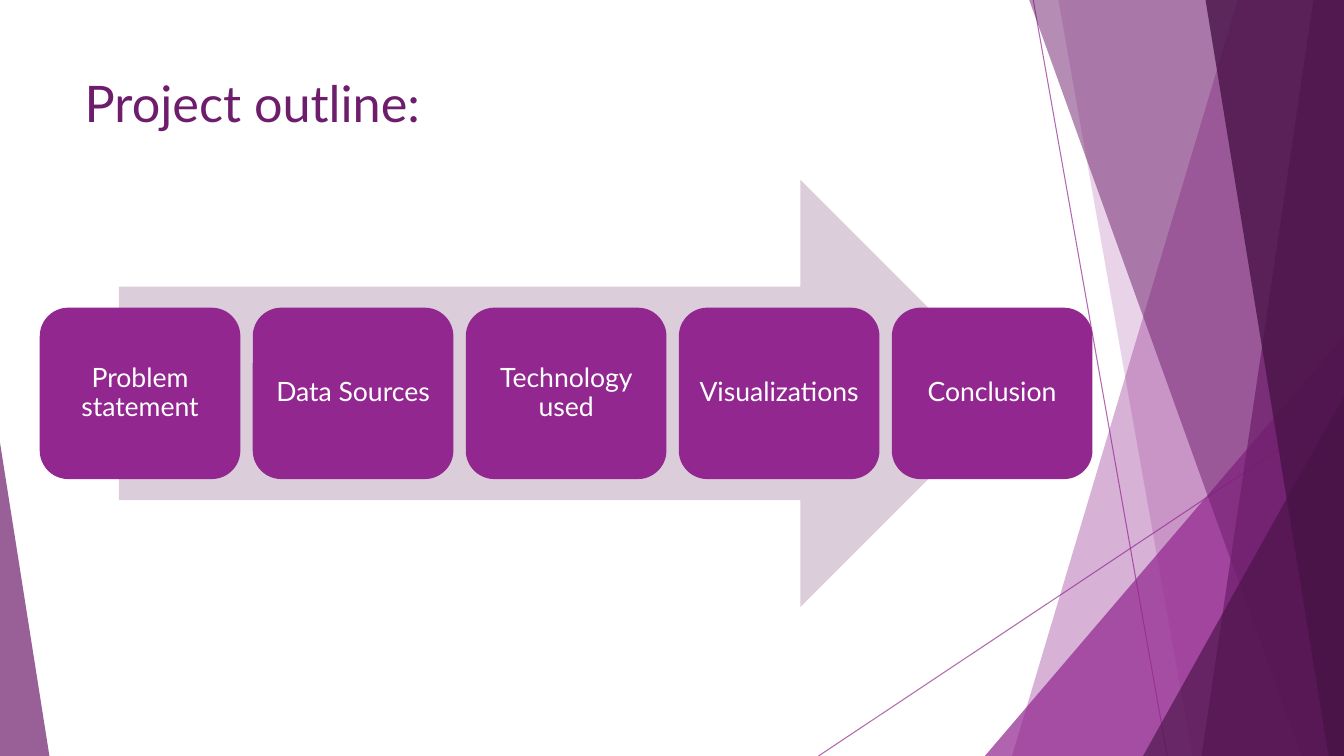
from dataclasses import dataclass

from lxml import etree
from pptx import Presentation
from pptx import util as u
from pptx.dml.color import RGBColor
from pptx.enum import shapes, text
from pptx.oxml.ns import qn

WHITE = RGBColor(0xFF, 0xFF, 0xFF)
VIOLET = RGBColor(0x92, 0x27, 0x8F)
PLUM = RGBColor(0x6D, 0x1D, 0x6B)
DARK_PLUM = RGBColor(0x49, 0x14, 0x47)
PALE_PLUM = RGBColor(0xDC, 0xCD, 0xDB)
FONT = "Lato"

WIDTH, HEIGHT = u.Inches(13.333), u.Inches(7.5)
STEP_LEFT, STEP_TOP = 2.96, 40.7
STEP_WIDTH, STEP_HEIGHT = 14.93, 22.67
STEP_PITCH = 15.85
STEPS = ["Problem statement", "Data Sources", "Technology used",
         "Visualizations", "Conclusion"]


@dataclass
class Ray:
    x1: float
    y1: float
    x2: float
    y2: float


@dataclass
class Shard:
    top_x: float
    bottom_x: float
    color: RGBColor
    opacity: int


@dataclass
class Corner:
    left: float
    top: float
    width: float
    apex: float
    color: RGBColor
    opacity: int


RAYS = [Ray(76.88, 0, 86.85, 100), Ray(100, 53.73, 60.9, 100)]
FACETS = [
    Shard(92.1, 75.3, VIOLET, 36),
    Shard(78.75, 88.73, VIOLET, 20),
    Corner(73.28, 44.4, 26.72, 1, VIOLET, 72),
    Shard(76.58, 96.83, PLUM, 50),
    Shard(97.73, 89.4, PLUM, 70),
    Shard(89.7, 98.85, DARK_PLUM, 80),
    Corner(85.05, 52.4, 14.95, 1, DARK_PLUM, 66),
    Corner(0, 58.53, 3.68, 0, PLUM, 70),
]


def across(percent: float) -> int:
    return round(WIDTH * percent / 100)


def down(percent: float) -> int:
    return round(HEIGHT * percent / 100)


def area(left: float, top: float, width: float, height: float) -> tuple:
    return across(left), down(top), across(width), down(height)


def set_opacity(sp, percent: int) -> None:
    for color in sp._element.spPr.iter(qn("a:srgbClr")):
        etree.SubElement(color, qn("a:alpha"), val=str(percent * 1000))


def paint(sp, color: RGBColor) -> None:
    sp.shadow.inherit = False
    sp.fill.solid()
    sp.fill.fore_color.rgb = color
    sp.line.fill.background()


def add_run(p, words: str, size: int, color: RGBColor) -> None:
    r = p.add_run()
    r.text = words
    r.font.name = FONT
    r.font.size = u.Pt(size)
    r.font.color.rgb = color


def draw_ray(s, ray: Ray) -> None:
    line = s.shapes.add_connector(
        shapes.MSO_CONNECTOR.STRAIGHT,
        across(ray.x1), down(ray.y1), across(ray.x2), down(ray.y2))
    line.line.color.rgb = VIOLET
    line.line.width = u.Pt(0.75)
    set_opacity(line, 70)
    etree.SubElement(line._element.spPr, qn("a:effectLst"))


def draw_facet(s, facet: Shard | Corner) -> None:
    if isinstance(facet, Shard):
        outline = s.shapes.build_freeform(across(facet.top_x), 0)
        outline.add_line_segments(
            [(WIDTH, 0), (WIDTH, HEIGHT), (across(facet.bottom_x), HEIGHT)])
        sp = outline.convert_to_shape()
    else:
        sp = s.shapes.add_shape(
            shapes.MSO_SHAPE.ISOSCELES_TRIANGLE,
            *area(facet.left, facet.top, facet.width, 100 - facet.top))
        sp.adjustments[0] = facet.apex
    paint(sp, facet.color)
    set_opacity(sp, facet.opacity)


def draw_title(s, words: str) -> None:
    sp = s.shapes.title
    sp.left, sp.top, sp.width, sp.height = area(5.55, 8.93, 70.5, 19.2)
    tf = sp.text_frame
    tf.auto_size = text.MSO_AUTO_SIZE.NONE
    tf.vertical_anchor = text.MSO_ANCHOR.TOP
    p = tf.paragraphs[0]
    p.alignment = text.PP_ALIGN.LEFT
    add_run(p, words, 36, PLUM)


def draw_step(s, column: int, words: str) -> None:
    sp = s.shapes.add_shape(
        shapes.MSO_SHAPE.ROUNDED_RECTANGLE,
        *area(STEP_LEFT + column * STEP_PITCH, STEP_TOP, STEP_WIDTH, STEP_HEIGHT))
    paint(sp, VIOLET)
    tf = sp.text_frame
    tf.word_wrap = True
    tf.vertical_anchor = text.MSO_ANCHOR.MIDDLE
    tf.margin_left = tf.margin_right = across(0.6)
    tf.margin_top = tf.margin_bottom = down(1.07)
    p = tf.paragraphs[0]
    p.alignment = text.PP_ALIGN.CENTER
    p.line_spacing = 0.9
    add_run(p, words, 19, WHITE)


def main() -> None:
    prs = Presentation()
    prs.slide_width, prs.slide_height = WIDTH, HEIGHT
    s = prs.slides.add_slide(prs.slide_layouts.get_by_name("Title Only"))
    for ray in RAYS:
        draw_ray(s, ray)
    for facet in FACETS:
        draw_facet(s, facet)
    draw_title(s, "Project outline:")
    arrow = s.shapes.add_shape(
        shapes.MSO_SHAPE.RIGHT_ARROW, *area(8.85, 23.77, 66.6, 56.53))
    paint(arrow, PALE_PLUM)
    for column, words in enumerate(STEPS):
        draw_step(s, column, words)
    prs.save("out.pptx")


if __name__ == "__main__":
    main()
